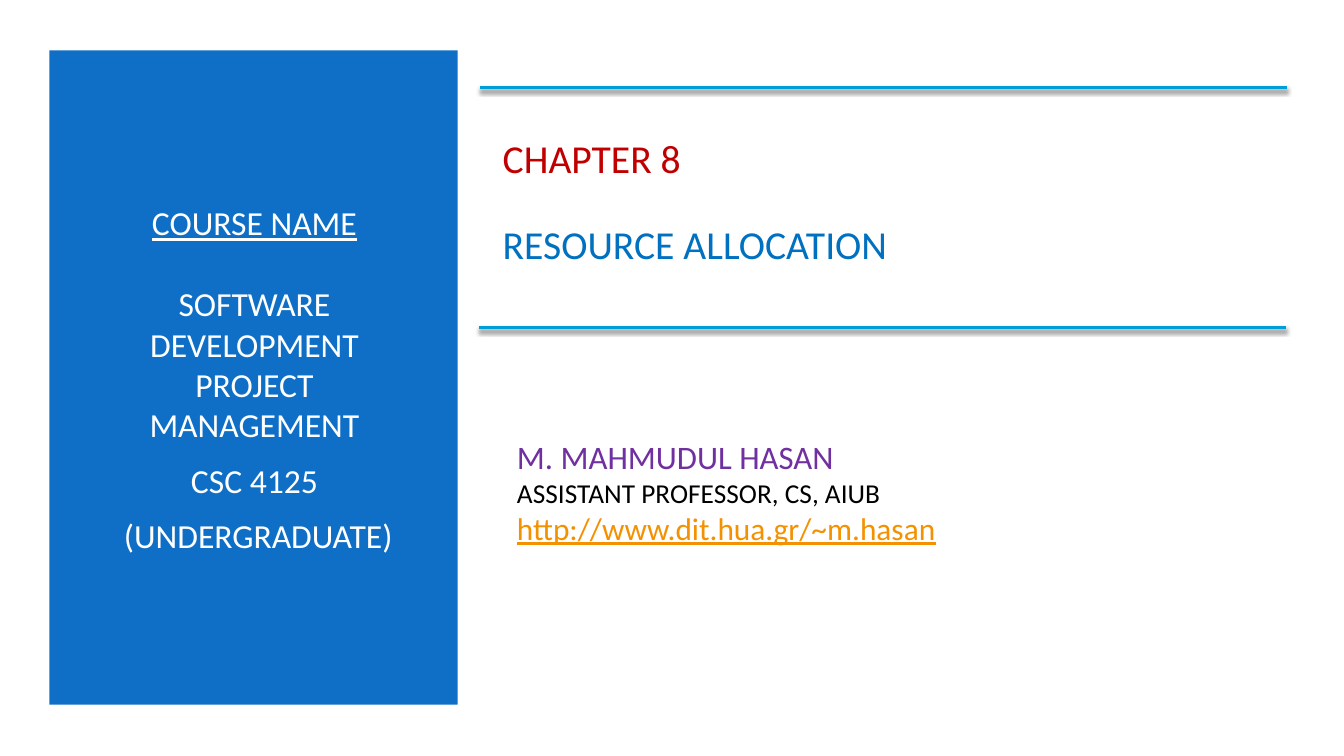
from dataclasses import dataclass

from lxml.etree import SubElement
from pptx import Presentation
from pptx.dml.color import RGBColor
from pptx.enum.shapes import MSO_CONNECTOR, MSO_SHAPE
from pptx.enum.text import MSO_ANCHOR, PP_ALIGN
from pptx.oxml.ns import qn
from pptx.util import Pt

WHITE = RGBColor(0xFF, 0xFF, 0xFF)
BLACK = RGBColor(0x00, 0x00, 0x00)
PANEL = RGBColor(0x0F, 0x6F, 0xC6)
CYAN = RGBColor(0x00, 0x9D, 0xD9)
RED = RGBColor(0xC0, 0x00, 0x00)
BLUE = RGBColor(0x00, 0x70, 0xC0)
PURPLE = RGBColor(0x70, 0x30, 0xA0)
ORANGE = RGBColor(0xF4, 0x91, 0x00)


@dataclass
class Line:
    text: str
    size: float
    color: RGBColor
    before: float = 0
    under: bool = False


@dataclass
class Block:
    left: float
    top: float
    width: float
    height: float
    lines: list[Line]
    align: PP_ALIGN = PP_ALIGN.LEFT
    pitch: float = 1.0


@dataclass
class Rule:
    left: float
    top: float
    width: float = 576.8


BLOCKS = [
    # Course
    Block(60.5, 81.5, 242.6, 378, [
        Line("COURSE NAME", 24, WHITE, under=True),
        Line("SOFTWARE DEVELOPMENT PROJECT MANAGEMENT", 24, WHITE, 29),
        Line("CSC 4125", 24, WHITE, 10.8),
        Line(" (UNDERGRADUATE)", 24, WHITE, 10.8),
    ], PP_ALIGN.CENTER),
    # Chapter
    Block(352, 79.2, 565.2, 132.5, [
        Line("CHAPTER 8", 28.3, RED),
        Line("RESOURCE ALLOCATION", 28.3, BLUE, 31),
    ], pitch=0.9),
    # Author
    Block(362.2, 295.2, 479.5, 112.3, [
        Line("M. MAHMUDUL HASAN", 23.4, PURPLE),
        Line("ASSISTANT PROFESSOR, CS, AIUB", 19.5, BLACK),
        Line("http://www.dit.hua.gr/~m.hasan", 22.4, ORANGE, under=True),
    ]),
]
RULES = [Rule(342.7, 62.6), Rule(342, 234)]


def add_block(slide, block: Block) -> None:
    box = slide.shapes.add_textbox(Pt(block.left), Pt(block.top),
                                   Pt(block.width), Pt(block.height))
    frame = box.text_frame
    frame.word_wrap = True
    frame.vertical_anchor = MSO_ANCHOR.MIDDLE
    for i, line in enumerate(block.lines):
        para = frame.add_paragraph() if i else frame.paragraphs[0]
        para.text = line.text
        para.alignment = block.align
        para.line_spacing = block.pitch
        para.space_before = Pt(line.before)
        font = para.font
        font.name = "Calibri"
        font.size = Pt(line.size)
        font.color.rgb = line.color
        font.underline = line.under


def add_rule(slide, rule: Rule) -> None:
    link = slide.shapes.add_connector(
        MSO_CONNECTOR.STRAIGHT, Pt(rule.left), Pt(rule.top),
        Pt(rule.left + rule.width), Pt(rule.top))
    link.line.color.rgb = CYAN
    link.line.width = Pt(2)
    # Soft shadow straight below the line
    props = link._element.spPr
    effect = SubElement(props, qn("a:effectLst"))
    shade = SubElement(effect, qn("a:outerShdw"), blurRad=str(Pt(3)),
                       dist=str(Pt(2)), dir=str(90 * 60000), rotWithShape="0")
    color = SubElement(shade, qn("a:srgbClr"), val=str(BLACK))
    SubElement(color, qn("a:alpha"), val="55000")


def main() -> None:
    deck = Presentation()
    deck.slide_width, deck.slide_height = Pt(960), Pt(540)
    slide = deck.slides.add_slide(deck.slide_layouts[6])

    # Side panel
    panel = slide.shapes.add_shape(MSO_SHAPE.RECTANGLE, Pt(35.3), Pt(36),
                                   Pt(291.6), Pt(467.3))
    panel.shadow.inherit = False
    panel.fill.solid()
    panel.fill.fore_color.rgb = PANEL
    panel.line.fill.background()

    # Text and rules
    for block in BLOCKS:
        add_block(slide, block)
    for rule in RULES:
        add_rule(slide, rule)

    deck.save("out.pptx")


if __name__ == "__main__":
    main()
